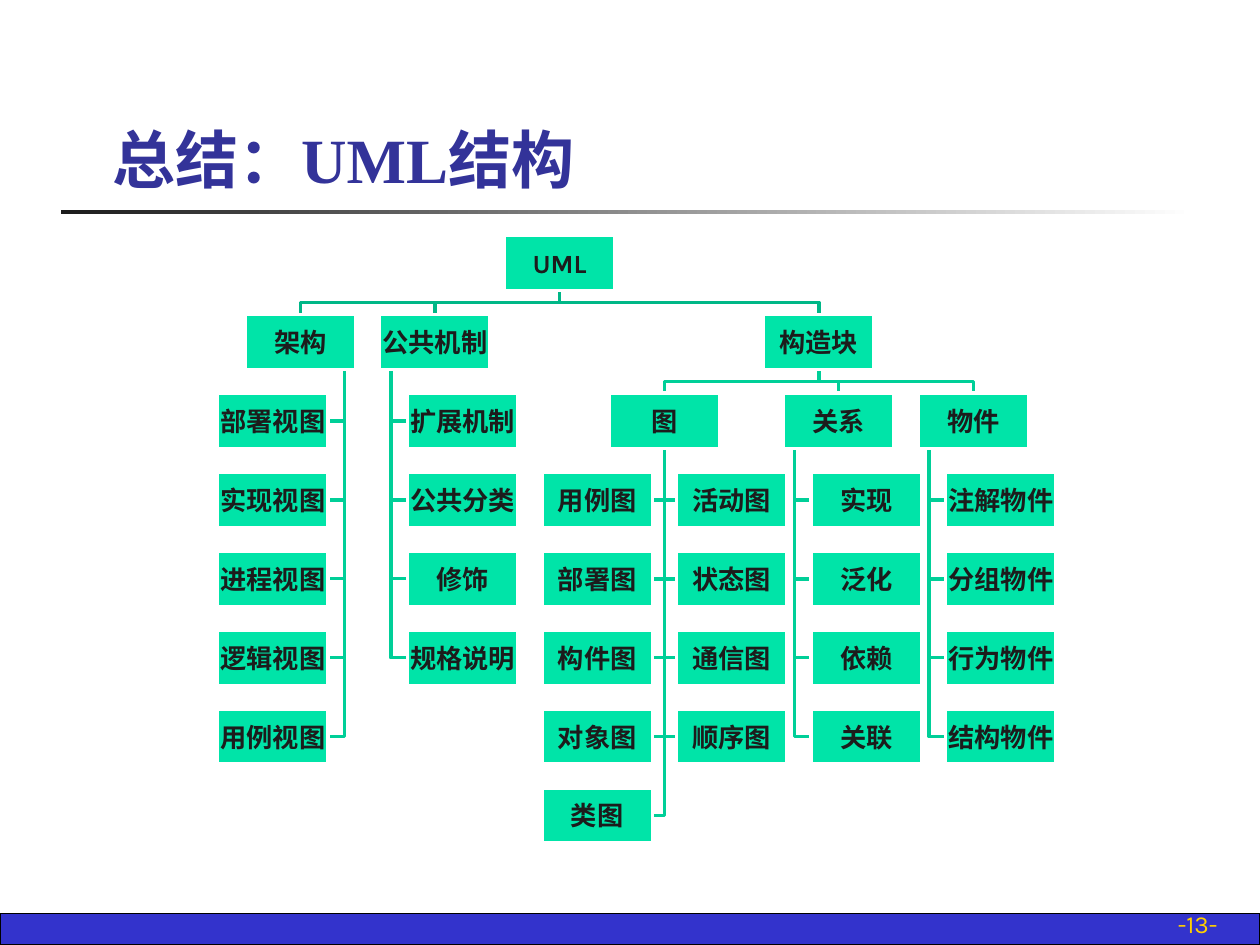
from dataclasses import dataclass

from pptx import Presentation
from pptx.dml.color import RGBColor
from pptx.enum.shapes import MSO_SHAPE as SHAPE
from pptx.enum.text import MSO_ANCHOR as ANCHOR, MSO_AUTO_SIZE as AUTO, PP_ALIGN as ALIGN
from pptx.util import Pt


@dataclass(frozen=True)
class Theme:
    title_font: str = "Times New Roman"
    body_font: str = "Karla"
    title_size: float = 36
    node_size: float = 15
    page_size: float = 14
    title: str = "333399"
    ink: str = "1C1C1C"
    white: str = "FFFFFF"
    node: str = "00E4A8"
    root_line: str = "00B787"
    branch_line: str = "00CF98"
    band: str = "3333CC"
    band_line: str = "000000"
    page: str = "FFCF01"


# Tree geometry in points
NODE_W, NODE_H = 63.1, 31.6
TOP, ROW = 134.5, 45.1
LEFT, COL = 232.8, 76.9
INDENT = NODE_W / 4
SPINE = NODE_W / 10


def rgb(value):
    return RGBColor.from_string(value)


def row_top(row):
    return TOP + row * ROW


class Deck:
    def __init__(self, slide, theme):
        self.slide, self.theme = slide, theme

    def style_text(self, tf, font, size, color, bold, align, anchor):
        tf.word_wrap = True
        tf.auto_size = AUTO.NONE
        tf.vertical_anchor = anchor
        for p in tf.paragraphs:
            p.alignment = align
            for r in p.runs:
                r.font.name, r.font.size, r.font.bold = font, Pt(size), bold
                r.font.color.rgb = rgb(color)

    def title(self, text, x, y, w, h):
        t, sp = self.theme, self.slide.shapes.title
        sp.left, sp.top, sp.width, sp.height = map(Pt, (x, y, w, h))
        sp.text_frame.text = text
        self.style_text(sp.text_frame, t.title_font, t.title_size, t.title,
                        True, ALIGN.LEFT, ANCHOR.BOTTOM)

    def rect(self, x, y, w, h, fill=None, line=None, line_width=0.75):
        sp = self.slide.shapes.add_shape(SHAPE.RECTANGLE, *map(Pt, (x, y, w, h)))
        sp.shadow.inherit = False
        if fill:
            sp.fill.solid()
            sp.fill.fore_color.rgb = rgb(fill)
        if line:
            sp.line.color.rgb = rgb(line)
            sp.line.width = Pt(line_width)
        else:
            sp.line.fill.background()
        return sp

    def fading_rule(self, x, y, w, h):
        sp = self.rect(x, y, w, h)
        sp.fill.gradient()
        sp.fill.gradient_angle = 0
        for stop, color in zip(sp.fill.gradient_stops, (self.theme.ink, self.theme.white)):
            stop.color.rgb = rgb(color)

    def page_number(self, text, x, y, w, h):
        t = self.theme
        sp = self.slide.shapes.add_textbox(*map(Pt, (x, y, w, h)))
        sp.text_frame.text = text
        self.style_text(sp.text_frame, t.body_font, t.page_size, t.page,
                        False, ALIGN.RIGHT, ANCHOR.BOTTOM)

    def node(self, text, x, row):
        t = self.theme
        sp = self.rect(x, row_top(row), NODE_W, NODE_H, t.node, t.white, 2)
        tf = sp.text_frame
        tf.margin_left = tf.margin_right = tf.margin_top = tf.margin_bottom = Pt(0.7)
        tf.text = text
        self.style_text(tf, t.body_font, t.node_size, t.ink, True, ALIGN.CENTER, ANCHOR.MIDDLE)

    def polyline(self, points, color):
        (x, y), *rest = [(Pt(px), Pt(py)) for px, py in points]
        builder = self.slide.shapes.build_freeform(x, y)
        builder.add_line_segments(rest, close=False)
        sp = builder.convert_to_shape()
        sp.shadow.inherit = False
        sp.fill.background()
        sp.line.color.rgb = rgb(color)
        sp.line.width = Pt(2)

    def fork(self, parent_x, child_x, row, color):
        """Join a parent's bottom centre to the top centre of a child one row down."""
        x0, x1 = parent_x + NODE_W / 2, child_x + NODE_W / 2
        y0, y1 = row_top(row) + NODE_H, row_top(row + 1)
        mid = (y0 + y1) / 2
        self.polyline([(x0, y0), (x0, mid), (x1, mid), (x1, y1)], color)

    def hang(self, spine_x, child_x, parent_row, child_row):
        """Join a vertical spine to the facing side of a child."""
        edge = child_x if child_x > spine_x else child_x + NODE_W
        y = row_top(child_row) + NODE_H / 2
        start = (spine_x, row_top(parent_row) + NODE_H)
        self.polyline([start, (spine_x, y), (edge, y)], self.theme.branch_line)


def draw_tree(deck):
    t = deck.theme
    col = [LEFT + i * COL for i in range(5)]
    mechanism = col[0] - INDENT
    architecture = mechanism - COL
    diagram = (col[1] + col[2]) / 2
    relation, thing = col[3] - INDENT, col[4] - INDENT
    block = (diagram + thing) / 2
    root = (architecture + block) / 2

    root_children = [("架构", architecture), ("公共机制", mechanism), ("构造块", block)]
    block_children = [("图", diagram), ("关系", relation), ("物件", thing)]
    # spine x, parent row, child x, names of the children
    lists = [
        (architecture + NODE_W - SPINE, 1, architecture - INDENT,
         ["部署视图", "实现视图", "进程视图", "逻辑视图", "用例视图"]),
        (mechanism + SPINE, 1, col[0], ["扩展机制", "公共分类", "修饰", "规格说明"]),
        (diagram + NODE_W / 2, 2, col[1], ["用例图", "部署图", "构件图", "对象图", "类图"]),
        (diagram + NODE_W / 2, 2, col[2], ["活动图", "状态图", "通信图", "顺序图"]),
        (relation + SPINE, 2, col[3], ["实现", "泛化", "依赖", "关联"]),
        (thing + SPINE, 2, col[4], ["注解物件", "分组物件", "行为物件", "结构物件"]),
    ]

    leaves = []
    for spine, parent_row, x, names in lists:
        for row, name in enumerate(names, parent_row + 1):
            deck.hang(spine, x, parent_row, row)
            leaves.append((name, x, row))
    for _, x in block_children:
        deck.fork(block, x, 1, t.branch_line)
    for _, x in root_children:
        deck.fork(root, x, 0, t.root_line)

    deck.node("UML", root, 0)
    for row, children in enumerate((root_children, block_children), 1):
        for name, x in children:
            deck.node(name, x, row)
    for leaf in leaves:
        deck.node(*leaf)


def main():
    prs = Presentation()
    prs.slide_width, prs.slide_height = Pt(720), Pt(540)
    theme = Theme()
    s = prs.slides.add_slide(prs.slide_layouts[5])
    deck = Deck(s, theme)
    deck.rect(0, 522, 720, 18, theme.band, theme.band_line)
    deck.fading_rule(34.6, 120, 648, 2.25)
    deck.page_number("-13-", 553, 516.2, 149.8, 23.8)
    deck.title("总结：UML结构", 56.9, 25.9, 613.4, 90)
    draw_tree(deck)
    prs.save("out.pptx")


if __name__ == "__main__":
    main()
